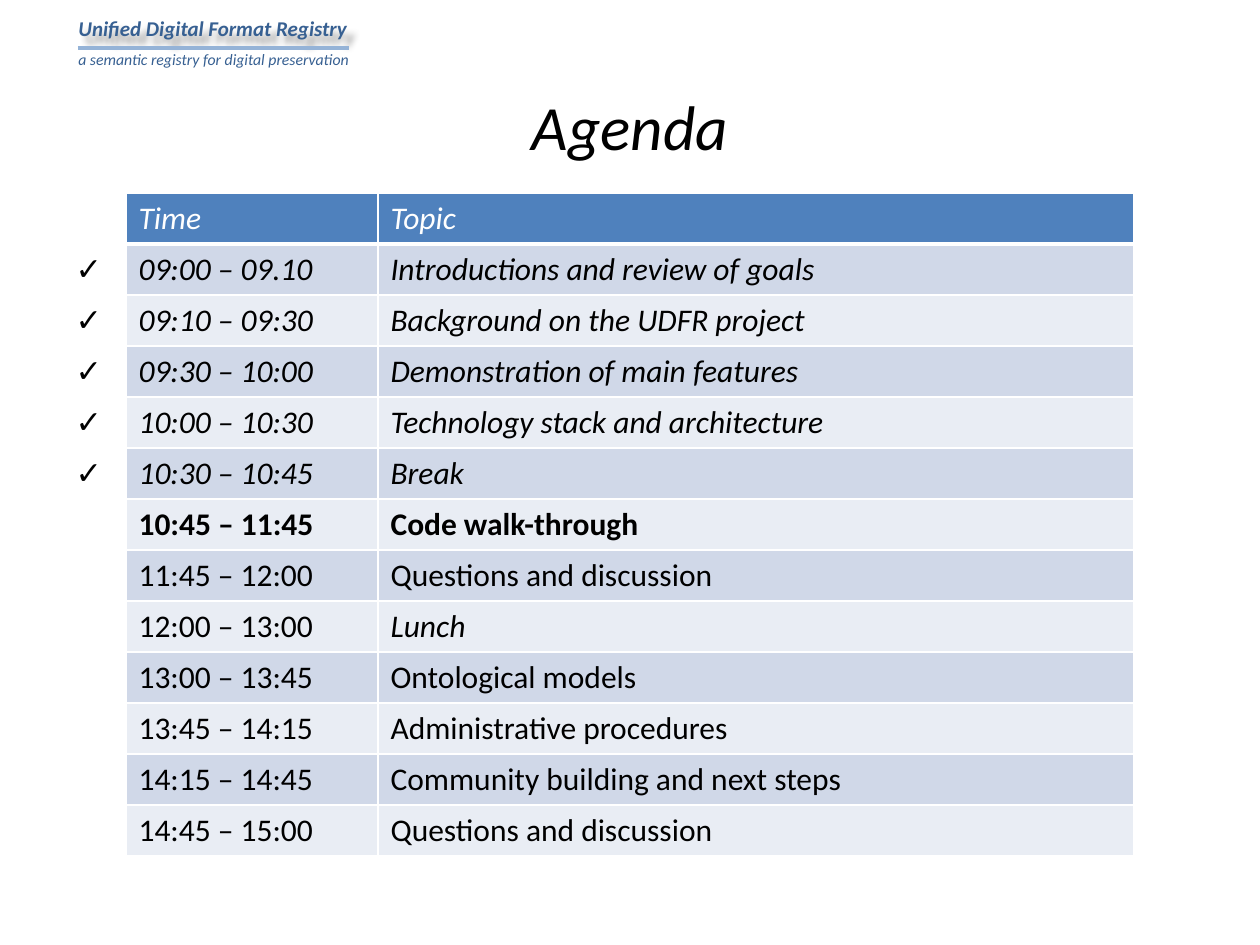
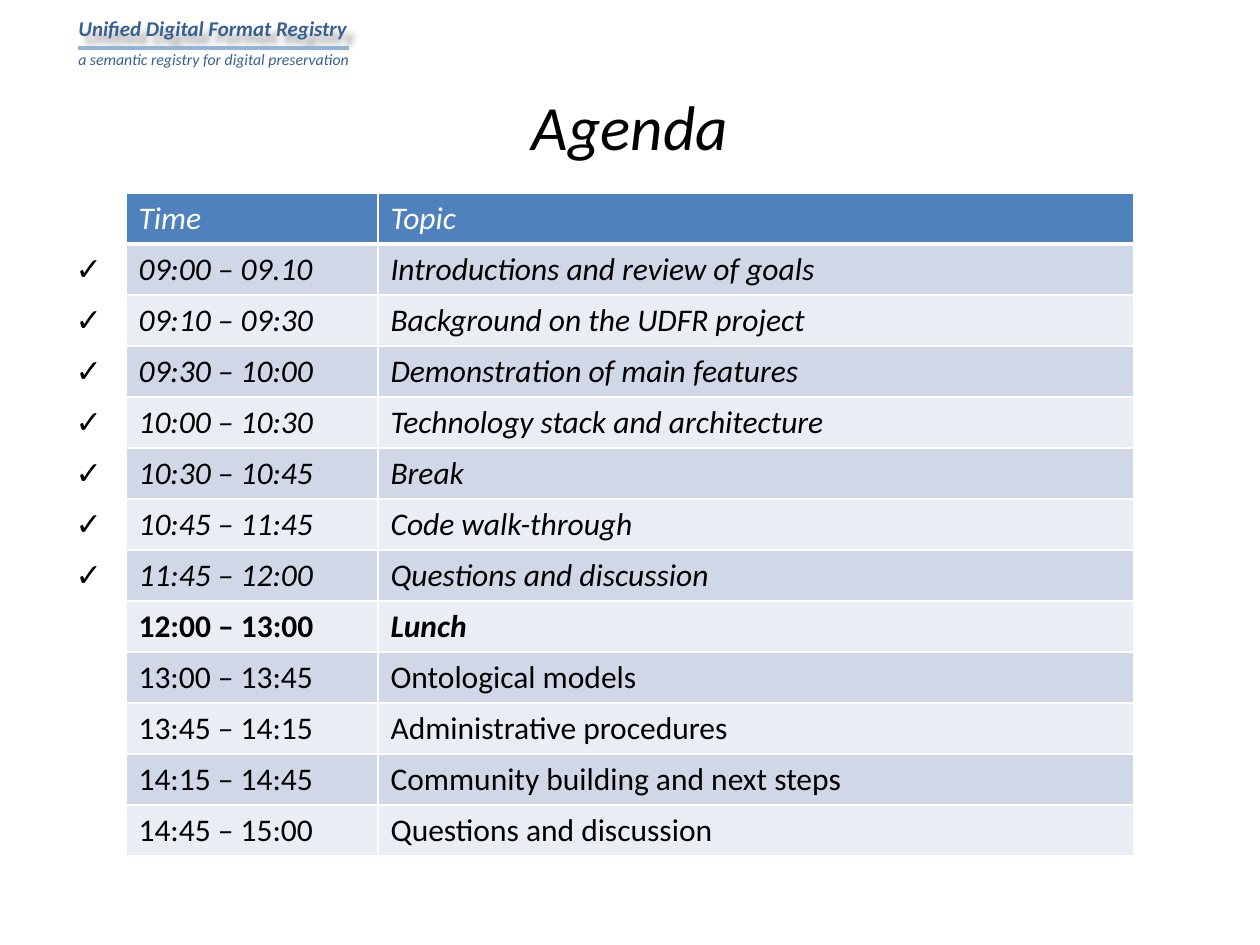
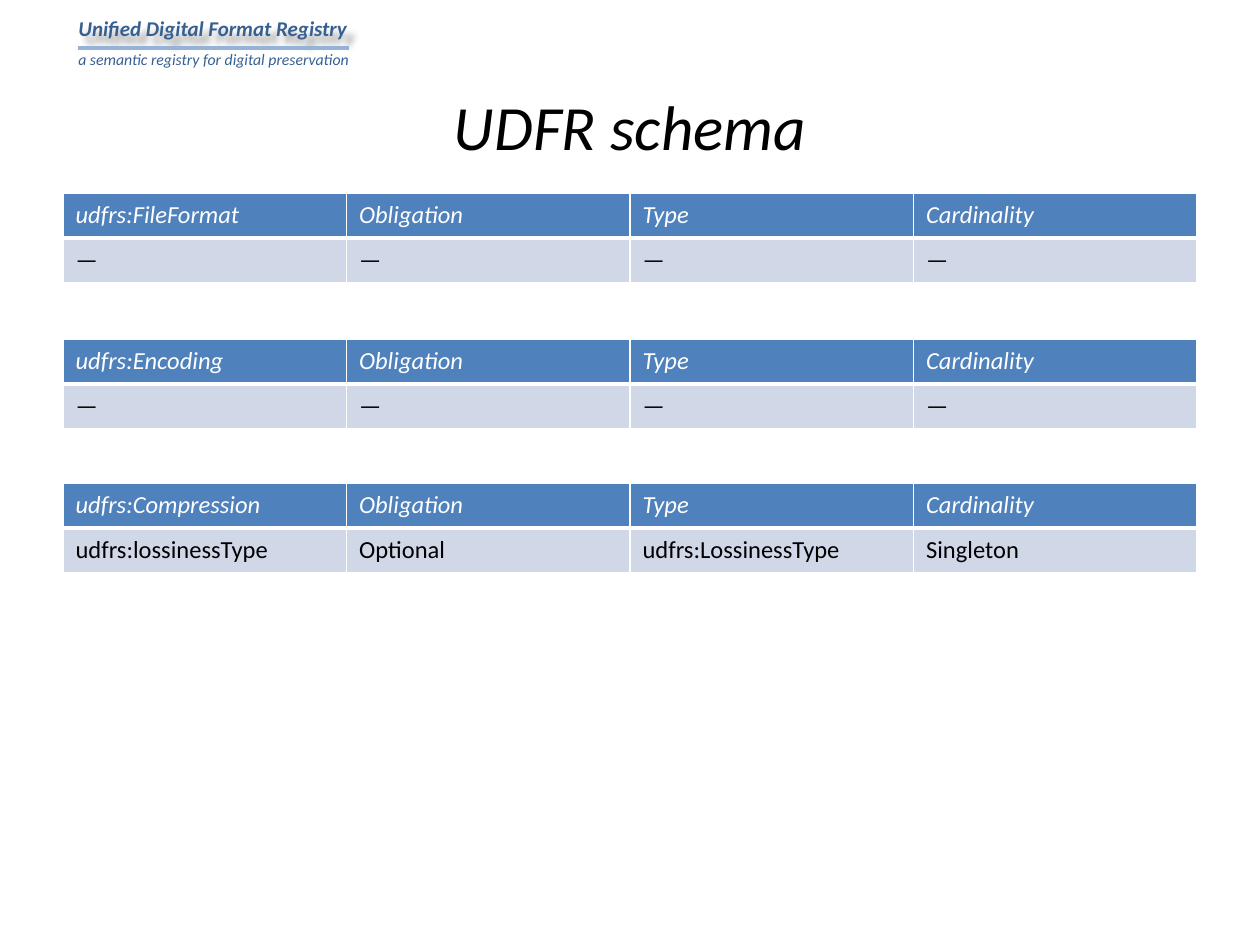
"""Build the UDFR agenda and schema slides."""
from dataclasses import dataclass

from lxml import etree
from pptx import Presentation
from pptx.dml.color import RGBColor
from pptx.enum.shapes import MSO_CONNECTOR
from pptx.enum.text import MSO_ANCHOR, PP_ALIGN
from pptx.oxml.ns import qn
from pptx.util import Emu, Pt

STRAIGHT = MSO_CONNECTOR.STRAIGHT
TOP, MIDDLE = MSO_ANCHOR.TOP, MSO_ANCHOR.MIDDLE
LEFT, CENTER = PP_ALIGN.LEFT, PP_ALIGN.CENTER
EMU_PER_PX = 914400 / 126


@dataclass(frozen=True)
class Theme:
    """Colours and type sizes of the deck."""
    font: str = "Calibri"
    ink: str = "000000"
    paper: str = "FFFFFF"
    brand: str = "376092"
    rule: str = "95B3D7"
    header: str = "4F81BD"
    bands: tuple = ("D0D8E8", "E9EDF4")
    title_size: int = 36
    agenda_size: int = 18
    schema_size: int = 14
    name_size: int = 12
    tagline_size: int = 9
    rule_width: float = 1.75
    border_width: int = 1
    header_border_width: int = 3


THEME = Theme()

AGENDA = [
    ("09:00 – 09.10", "Introductions and review of goals"),
    ("09:10 – 09:30", "Background on the UDFR project"),
    ("09:30 – 10:00", "Demonstration of main features"),
    ("10:00 – 10:30", "Technology stack and architecture"),
    ("10:30 – 10:45", "Break"),
    ("10:45 – 11:45", "Code walk-through"),
    ("11:45 – 12:00", "Questions and discussion"),
    ("12:00 – 13:00", "Lunch"),
    ("13:00 – 13:45", "Ontological models"),
    ("13:45 – 14:15", "Administrative procedures"),
    ("14:15 – 14:45", "Community building and next steps"),
    ("14:45 – 15:00", "Questions and discussion"),
]

SCHEMA = [
    (193, "udfrs:FileFormat", ("—",) * 4),
    (339, "udfrs:Encoding", ("—",) * 4),
    (483, "udfrs:Compression",
     ("udfrs:lossinessType", "Optional", "udfrs:LossinessType", "Singleton")),
]


def px(length):
    """Turn pixels into EMU."""
    return Emu(round(length * EMU_PER_PX))


def write_text(frame, text, *, size, color=THEME.ink, bold=False, italic=False, align=LEFT):
    """Write one formatted paragraph into a text frame."""
    paragraph = frame.paragraphs[0]
    paragraph.alignment = align
    run = paragraph.add_run()
    run.text = text
    font = run.font
    font.name, font.size = THEME.font, Pt(size)
    font.bold, font.italic = bold, italic
    font.color.rgb = RGBColor.from_string(color)


def add_text(slide, text, left, top, width, height, *, anchor=TOP, **text_format):
    """Add a wrapped text box and return it."""
    box = slide.shapes.add_textbox(px(left), px(top), px(width), px(height))
    frame = box.text_frame
    frame.word_wrap = True
    frame.vertical_anchor = anchor
    write_text(frame, text, **text_format)
    return box


def add_effects(shape):
    """Give a shape an empty effect list and return it."""
    return etree.SubElement(shape._element.spPr, qn("a:effectLst"))


def add_text_shadow(shape):
    """Cast a soft shadow down and to the right."""
    shadow = etree.SubElement(add_effects(shape), qn("a:outerShdw"),
                              blurRad="50800", dist="76200", dir="3000000", algn="tl")
    color = etree.SubElement(shadow, qn("a:srgbClr"), val=THEME.ink)
    etree.SubElement(color, qn("a:alpha"), val="40000")


def add_rule(slide, left, right, y):
    """Draw a horizontal rule."""
    rule = slide.shapes.add_connector(STRAIGHT, px(left), px(y), px(right), px(y))
    rule.line.color.rgb = RGBColor.from_string(THEME.rule)
    rule.line.width = Pt(THEME.rule_width)
    add_effects(rule)


def set_borders(cell, *, top, bottom):
    """Draw the four borders of a cell, with the given top and bottom widths."""
    side = THEME.border_width
    properties = cell._tc.get_or_add_tcPr()
    for tag, width in (("lnL", side), ("lnR", side), ("lnT", top), ("lnB", bottom)):
        line = etree.SubElement(properties, qn(f"a:{tag}"), w=str(Pt(width)))
        fill = etree.SubElement(line, qn("a:solidFill"))
        etree.SubElement(fill, qn("a:srgbClr"), val=THEME.paper)


def fill_cell(cell, color):
    """Fill a cell, or leave it clear when there is no colour."""
    if color is None:
        cell.fill.background()
    else:
        cell.fill.solid()
        cell.fill.fore_color.rgb = RGBColor.from_string(color)


def add_banded_table(slide, rows, left, top, width, *, weights, row_height, size,
                     anchor=TOP, clear_columns=0, emphasis=None):
    """Add a table with a header row, banded body and optional clear columns."""
    frame = slide.shapes.add_table(len(rows), len(weights), px(left), px(top),
                                   px(width), px(row_height * len(rows)))
    table = frame.table
    table.first_row = table.horz_banding = False
    for column, weight in zip(table.columns, weights):
        column.width = px(width) * weight // sum(weights)
    for row_index, texts in enumerate(rows):
        table.rows[row_index].height = px(row_height)
        is_header = row_index == 0
        band = THEME.header if is_header else THEME.bands[(row_index - 1) % 2]
        thin, thick = THEME.border_width, THEME.header_border_width
        for column_index, text in enumerate(texts):
            cell = table.cell(row_index, column_index)
            cell.vertical_anchor = anchor
            set_borders(cell, top=thick if row_index == 1 else thin,
                        bottom=thick if is_header else thin)
            fill_cell(cell, None if column_index < clear_columns else band)
            if is_header:
                text_format = {"color": THEME.paper, "italic": True}
            else:
                text_format = emphasis(row_index, column_index) if emphasis else {}
            if text:
                write_text(cell.text_frame, text, size=size, **text_format)


def add_titled_slide(presentation, title):
    """Add a blank slide with the registry masthead and a title."""
    slide = presentation.slides.add_slide(presentation.slide_layouts[6])
    name = add_text(slide, "Unified Digital Format Registry", 66, 9, 302, 38,
                    size=THEME.name_size, color=THEME.brand, bold=True, italic=True)
    add_text_shadow(name)
    add_text(slide, "a semantic registry for digital preservation", 66, 44, 305, 32,
             size=THEME.tagline_size, color=THEME.brand, italic=True)
    add_rule(slide, 78, 349, 48)
    add_text(slide, title, 63, 73, 1134, 105, anchor=MIDDLE,
             size=THEME.title_size, italic=True, align=CENTER)
    return slide


def add_agenda_slide(presentation, done):
    """Add the agenda with the first items ticked and the next one in bold."""
    def emphasis(row, column):
        """Format finished items, the current item and lunch."""
        is_lunch = column == 2 and AGENDA[row - 1][1] == "Lunch"
        return {"bold": row == done + 1,
                "italic": is_lunch or (column > 0 and row <= done)}

    rows = [("", "Time", "Topic")]
    rows += [("✓" if index < done else "", *item) for index, item in enumerate(AGENDA)]
    add_banded_table(add_titled_slide(presentation, "Agenda"), rows, 63, 193, 1071,
                     weights=(1, 4, 12), row_height=51, size=THEME.agenda_size,
                     clear_columns=1, emphasis=emphasis)


def add_schema_slide(presentation):
    """Add one property table for each schema class."""
    slide = add_titled_slide(presentation, "UDFR schema")
    for top, class_name, values in SCHEMA:
        rows = [(class_name, "Obligation", "Type", "Cardinality"), values]
        add_banded_table(slide, rows, 63, top, 1134, weights=(1, 1, 1, 1),
                         row_height=45, size=THEME.schema_size, anchor=MIDDLE)


def main():
    """Build and save the deck."""
    presentation = Presentation()
    presentation.slide_width, presentation.slide_height = px(1260), px(945)
    for done in (5, 7):
        add_agenda_slide(presentation, done)
    add_schema_slide(presentation)
    presentation.save("out.pptx")


if __name__ == "__main__":
    main()
